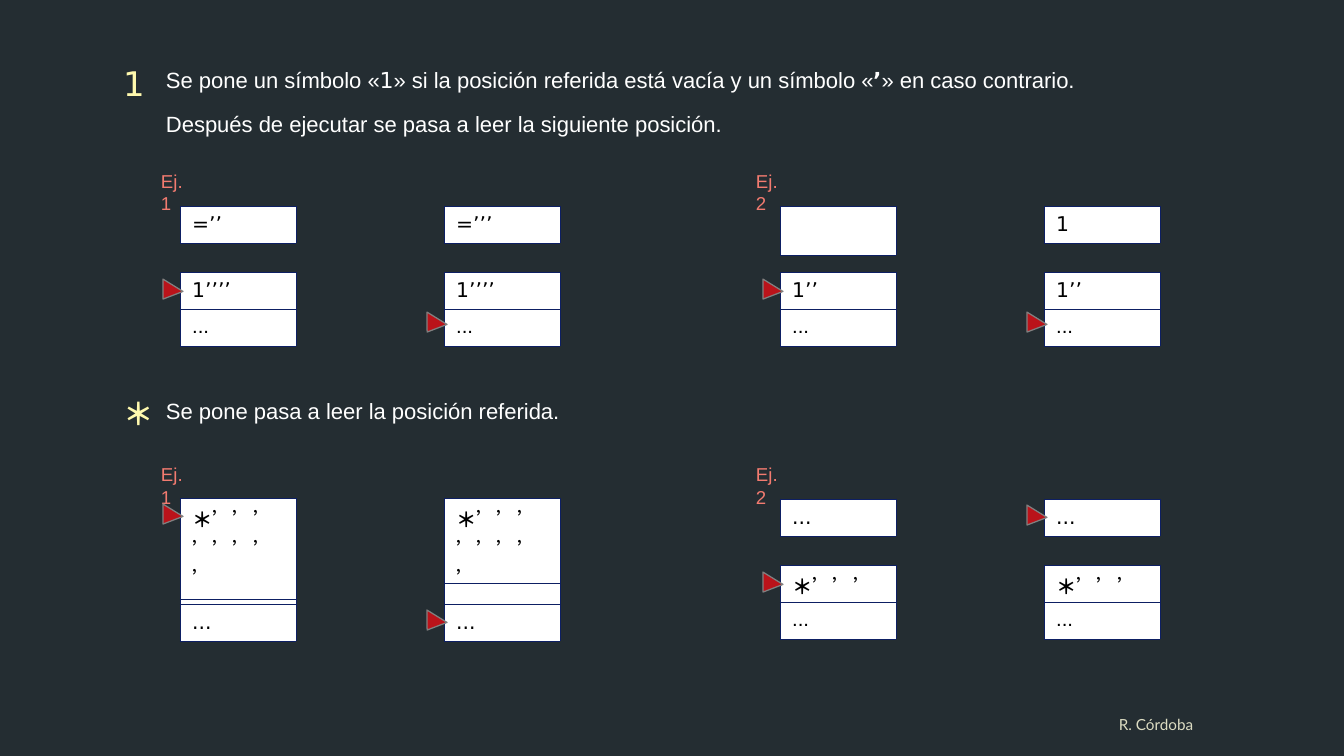
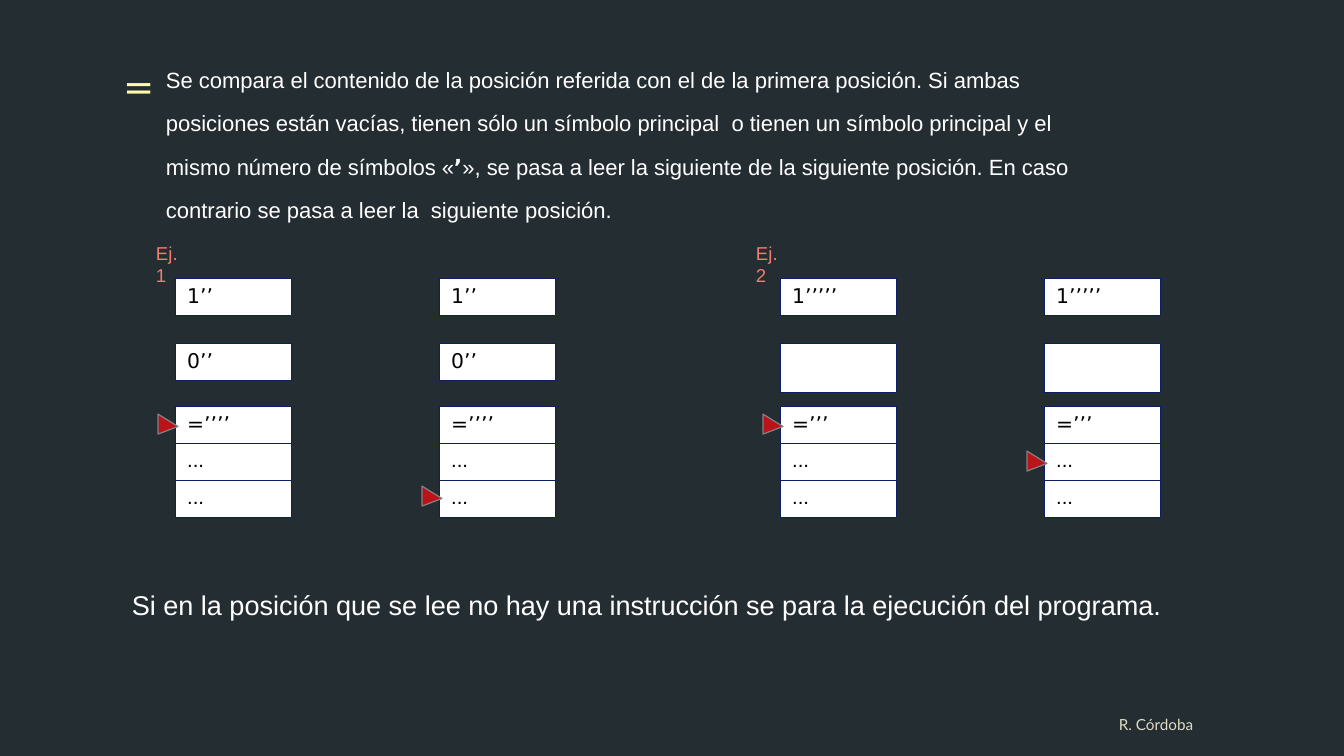
from lxml.etree import SubElement
from pptx import Presentation
from pptx.dml.color import RGBColor
from pptx.enum.shapes import MSO_SHAPE
from pptx.enum.text import MSO_AUTO_SIZE, PP_ALIGN
from pptx.oxml.ns import qn
from pptx.util import Emu, Pt

BACKGROUND = RGBColor(0x24, 0x2D, 0x32)
WHITE = RGBColor(0xFF, 0xFF, 0xFF)
BLACK = RGBColor(0x00, 0x00, 0x00)
YELLOW = RGBColor(0xFF, 0xF9, 0xAE)
CORAL = RGBColor(0xF3, 0x7B, 0x70)
RED = RGBColor(0xBA, 0x13, 0x1A)
GRAY = RGBColor(0x80, 0x80, 0x80)
NAVY = RGBColor(0x0D, 0x1F, 0x63)
CREAM = RGBColor(0xDC, 0xDC, 0xC2)

SANS = "Arial"
MONO = "DejaVu Sans"
STAR = "＊"
EMU_PER_PX = 914400 / 122
COLUMN_WIDTH = 116
ROW = 37
EMPTY_ROW = 48
ARROW = 20


def px(value):
    """Turn pixels into EMU."""
    return Emu(round(value * EMU_PER_PX))


class Board:
    """Hold the deck style and draw on the current slide."""

    def __init__(self):
        """Create the deck with its shared background."""
        self.deck = Presentation()
        self.deck.slide_width, self.deck.slide_height = px(1344), px(756)
        fill = self.deck.slide_master.background.fill
        fill.solid()
        fill.fore_color.rgb = BACKGROUND

    def new_page(self):
        """Start a blank slide with its footer."""
        self.page = self.deck.slides.add_slide(self.deck.slide_layouts[6])
        para = self.text(1096, 709, 120, 28, [("R. Córdoba", {"name": "Lato"})], 9, CREAM)
        para.alignment = PP_ALIGN.CENTER

    def add_spans(self, para, spans, size, color):
        """Add formatted runs to a paragraph."""
        for words, extra in spans:
            span = para.add_run()
            span.text = words
            span.font.color.rgb = color
            style = {"name": SANS, "size": Pt(size), "bold": False, **extra}
            for name, value in style.items():
                setattr(span.font, name, value)

    def text(self, left, top, width, height, spans, size, color, wrap=True):
        """Add a text box and return its paragraph."""
        box = self.page.shapes.add_textbox(px(left), px(top), px(width), px(height))
        frame = box.text_frame
        frame.word_wrap = wrap
        frame.auto_size = MSO_AUTO_SIZE.SHAPE_TO_FIT_TEXT
        para = frame.paragraphs[0]
        self.add_spans(para, spans, size, color)
        return para

    def body(self, left, top, width, height, spans, size=13):
        """Add white body text with fixed line spacing."""
        para = self.text(left, top, width, height, spans, size, WHITE)
        para.line_spacing = Pt(25.5)

    def symbol(self, top, width, height, sign, size, **extra):
        """Add the yellow instruction symbol."""
        self.text(111, top, width, height, [(sign, extra)], size, YELLOW, False)

    def labels(self, top, *lefts):
        """Number the examples in a row."""
        for number, left in enumerate(lefts, 1):
            self.text(left, top, 61, 33, [(f"Ej. {number}", {})], 11, CORAL, False)

    def border(self, cell):
        """Outline a cell with a thin navy line."""
        properties = cell._tc.get_or_add_tcPr()
        for side in ("a:lnL", "a:lnR", "a:lnT", "a:lnB"):
            line = SubElement(properties, qn(side), w="762")
            fill = SubElement(line, qn("a:solidFill"))
            SubElement(fill, qn("a:srgbClr"), val=str(NAVY))

    def cells(self, left, top, contents, heights=None):
        """Add a one-column table of memory positions."""
        heights = heights or [ROW if words else EMPTY_ROW for words in contents]
        frame = self.page.shapes.add_table(
            len(contents), 1, px(left), px(top), px(COLUMN_WIDTH), px(sum(heights)))
        table = frame.table
        table.first_row = table.horz_banding = False
        for index, (words, height) in enumerate(zip(contents, heights)):
            table.rows[index].height = px(height)
            cell = table.cell(index, 0)
            self.border(cell)
            cell.fill.solid()
            cell.fill.fore_color.rgb = WHITE
            spans = [(words, {"name": SANS if index else MONO})] if words else []
            if words.startswith(STAR):
                spans = [(STAR, {"bold": True}), (words[1:], {"name": MONO})]
            self.add_spans(cell.text_frame.paragraphs[0], spans, 12, BLACK)

    def arrow(self, left, top):
        """Add the red reading marker."""
        shape = self.page.shapes.add_shape(
            MSO_SHAPE.ISOSCELES_TRIANGLE, px(left), px(top), px(ARROW), px(ARROW))
        shape.shadow.inherit = False
        shape.adjustments[0] = 0.63
        shape.rotation = 89.5
        shape.fill.solid()
        shape.fill.fore_color.rgb = RED
        shape.line.color.rgb = GRAY
        shape.line.width = 0

    def memory(self, left, arrow_top, *tables):
        """Add one memory state and its marker."""
        for table in tables:
            self.cells(left, *table)
        self.arrow(left - 17, arrow_top)


def build_mark_and_jump(board):
    """Build the slide on marking and jumping."""
    board.new_page()
    board.body(154, 44, 947, 99, [
        ("Se pone un símbolo «", {}), ("1", {"name": MONO}),
        ("» si la posición referida está vacía y un símbolo «", {}),
        ("’", {"name": MONO, "bold": True}),
        ("» en caso contrario. Después de ejecutar se pasa a leer la siguiente posición.", {}),
    ])
    board.symbol(57, 45, 51, "1", 20, name=MONO)
    board.labels(164, 149, 744)
    for left, arrow_top, result, content in (
            (180, 279, "=’’", "1’’’’"), (444, 312, "=’’’", "1’’’’"),
            (780, 279, "", "1’’"), (1044, 312, "1", "1’’")):
        board.memory(left, arrow_top, (206, [result]), (272, [content, "..."]))

    board.body(154, 375, 947, 67, [("Se pone pasa a leer la posición referida.", {})])
    board.symbol(389, 55, 48, STAR, 18, bold=True)
    board.labels(457, 149, 744)
    for left, arrow_top, height in ((180, 504, 101), (444, 610, 85)):
        board.memory(left, arrow_top,
                     (498, [STAR + "’’’’’’’’", "..."], [height, 35]), (604, ["..."]))
    for left, arrow_top in ((780, 572), (1044, 505)):
        board.memory(left, arrow_top, (499, ["..."]), (565, [STAR + "’’’", "..."]))


def build_compare(board):
    """Build the slide on comparing."""
    board.new_page()
    board.body(154, 44, 947, 185, [
        ("Se compara el contenido de la posición referida con el de la primera posición. "
         "Si ambas posiciones están vacías, tienen sólo un símbolo principal  o tienen un "
         "símbolo principal y el mismo número de símbolos «", {}),
        ("’", {"name": MONO, "bold": True}),
        ("», se pasa a leer la siguiente de la siguiente posición. En caso contrario se "
         "pasa a leer la  siguiente posición.", {}),
    ])
    board.symbol(57, 55, 55, "=", 22, name=MONO)
    board.labels(236, 144, 744)
    for left, arrow_top, first, referred, content in (
            (175, 414, "1’’", "0’’", "=’’’’"), (439, 486, "1’’", "0’’", "=’’’’"),
            (780, 414, "1’’’’’", "", "=’’’"), (1044, 451, "1’’’’’", "", "=’’’")):
        board.memory(left, arrow_top, (278, [first]), (343, [referred]),
                     (406, [content, "...", "..."]))
    board.body(120, 572, 1076, 62, [
        ("Si en la posición que se lee no hay una instrucción se para la ejecución "
         "del programa.", {})], 16)


def main():
    """Build and save the deck."""
    board = Board()
    build_mark_and_jump(board)
    build_compare(board)
    board.deck.save("out.pptx")


if __name__ == "__main__":
    main()
